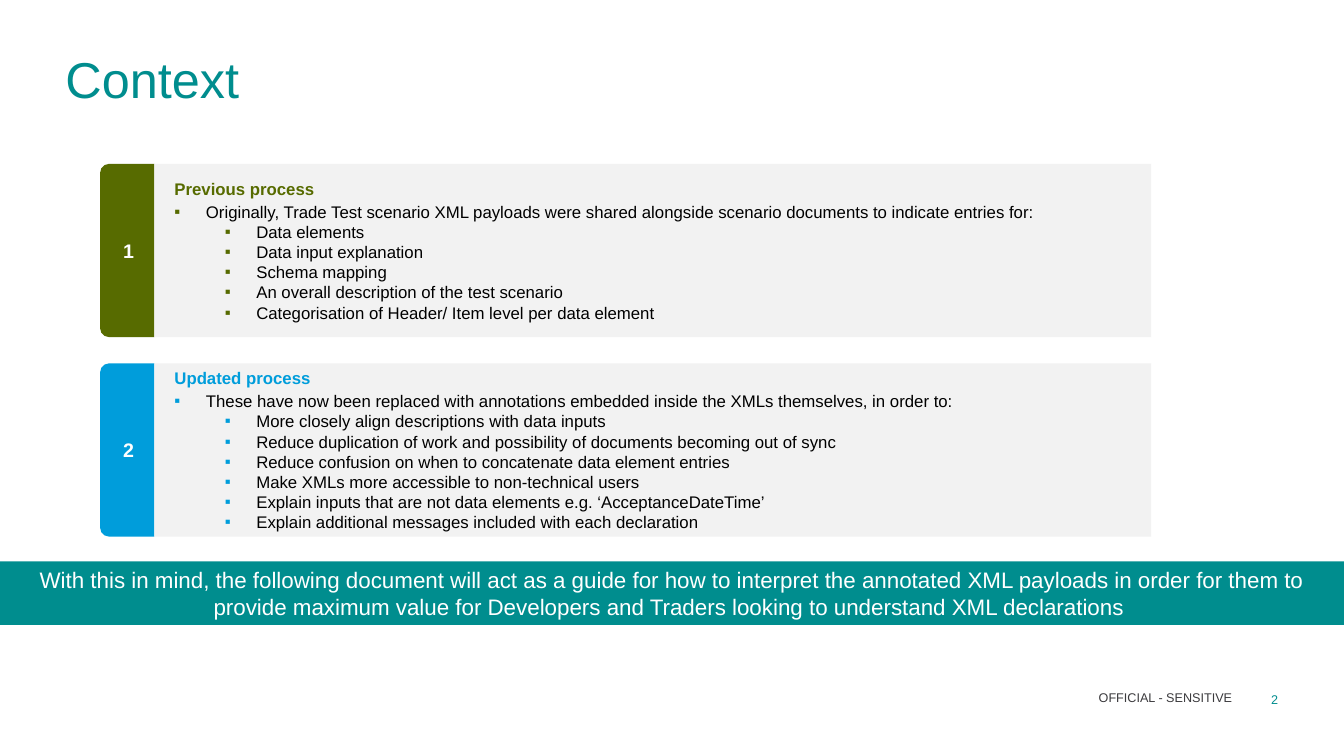
from lxml import etree
from pptx import Presentation
from pptx import util as u
from pptx.dml.color import RGBColor
from pptx.enum import shapes, text
from pptx.oxml.ns import qn

COLOURS = {"teal": "008D8E", "olive": "576B00", "blue": "009DDB", "panel": "F2F2F2",
           "white": "FFFFFF", "black": "000000", "grey": "3B3A3D"}
ALIGN, ANCHOR = text.PP_ALIGN, text.MSO_ANCHOR
SHAPE = shapes.MSO_SHAPE
SLIDE_WIDTH, SLIDE_HEIGHT = 960, 540
PANEL_LEFT, PANEL_TOP, PANEL_WIDTH, PANEL_HEIGHT, PANEL_STEP = 71.5, 117, 750.7, 123.8, 142.5
TAB_WIDTH = 38.7

PROCESSES = [
    ("olive", "Previous process",
     "Originally, Trade Test scenario XML payloads were shared alongside scenario documents "
     "to indicate entries for:",
     ["Data elements", "Data input explanation", "Schema mapping",
      "An overall description of the test scenario",
      "Categorisation of Header/ Item level per data element"]),
    ("blue", "Updated process",
     "These have now been replaced with annotations embedded inside the XMLs themselves, "
     "in order to:",
     ["More closely align descriptions with data inputs",
      "Reduce duplication of work and possibility of documents becoming out of sync",
      "Reduce confusion on when to concatenate data element entries",
      "Make XMLs more accessible to non-technical users",
      "Explain inputs that are not data elements e.g. ‘AcceptanceDateTime’",
      "Explain additional messages included with each declaration"]),
]
MESSAGE = ("With this in mind, the following document will act as a guide for how to interpret "
           "the annotated XML payloads in order for them to provide maximum value for Developers "
           "and Traders looking to understand XML declarations ")


def set_all(target, values):
    """Set each named attribute of the target."""
    for name, value in values.items():
        setattr(target, name, value)


def set_frame(shape, insets, anchor):
    """Wrap the text of a shape and set its insets and anchor."""
    left, top, right, bottom = (u.Pt(inset) for inset in insets)
    set_all(shape.text_frame, {"word_wrap": True, "vertical_anchor": anchor,
                               "margin_left": left, "margin_top": top,
                               "margin_right": right, "margin_bottom": bottom})


def add_block(page, kind, box, colour, insets, anchor):
    """Add a plain filled shape without line or shadow."""
    block = page.shapes.add_shape(kind, *(u.Pt(length) for length in box))
    block.shadow.inherit = False
    block.fill.solid()
    block.fill.fore_color.rgb = RGBColor.from_string(COLOURS[colour])
    block.line.fill.background()
    set_frame(block, insets, anchor)
    return block


def write(para, words, size, colour, bold=False, **layout):
    """Write one formatted span into a paragraph."""
    set_all(para, {"alignment": ALIGN.LEFT, **layout})
    span = para.add_run()
    span.text = words
    set_all(span.font, {"name": "Arial", "size": u.Pt(size), "bold": bold})
    span.font.color.rgb = RGBColor.from_string(COLOURS[colour])


def add_bullet(para, colour, indent):
    """Give a paragraph a coloured square bullet with a hanging indent."""
    props = para._p.get_or_add_pPr()
    props.set("marL", str(u.Pt(indent)))
    props.set("indent", str(u.Pt(-22.5)))
    tint = etree.SubElement(props, qn("a:buClr"))
    etree.SubElement(tint, qn("a:srgbClr"), val=COLOURS[colour])
    etree.SubElement(props, qn("a:buFont"), typeface="Arial")
    etree.SubElement(props, qn("a:buChar"), char="▪")


def add_tab(page, box, number, colour):
    """Add the numbered tab, turned so that its round corners face left."""
    left, top, width, height = box
    turned = (left + (width - height) / 2, top + (height - width) / 2, height, width)
    tab = add_block(page, SHAPE.ROUND_2_SAME_RECTANGLE, turned, colour, [3.6] * 4, ANCHOR.MIDDLE)
    tab.rotation = 270
    tab.text_frame._txBody.bodyPr.set("vert", "vert")
    write(tab.text_frame.paragraphs[0], str(number), 14, "white", True,
          alignment=ALIGN.CENTER, space_before=u.Pt(2), space_after=u.Pt(2))


def add_process(page, box, number, process):
    """Add a numbered process panel with its heading and bullets."""
    left, top, width, height = box
    colour, heading, intro, points = process
    add_tab(page, (left, top, TAB_WIDTH, height), number, colour)
    body = (left + TAB_WIDTH, top, width - TAB_WIDTH, height)
    panel = add_block(page, SHAPE.RECTANGLE, body, "panel", (14.4, 3.6, 3.6, 3.6), ANCHOR.MIDDLE)
    frame = panel.text_frame
    write(frame.paragraphs[0], heading, 12, colour, True,
          space_before=u.Pt(2), space_after=u.Pt(2))
    for level, words in [(0, intro)] + [(1, point) for point in points]:
        para = frame.add_paragraph()
        write(para, words, 12, "black", level=level)
        add_bullet(para, colour, 22.5 + 36 * level)


def add_banner(page, box):
    """Add the full-width closing message."""
    banner = add_block(page, SHAPE.RECTANGLE, box, "teal", (7.2, 3.6, 7.2, 3.6), ANCHOR.MIDDLE)
    write(banner.text_frame.paragraphs[0], MESSAGE, 16, "white", alignment=ALIGN.CENTER)


def add_label(page, box, words, size, colour, anchor=ANCHOR.TOP, **layout):
    """Add a text box without insets."""
    label = page.shapes.add_textbox(*(u.Pt(length) for length in box))
    set_frame(label, [0] * 4, anchor)
    write(label.text_frame.paragraphs[0], words, size, colour, **layout)


def add_footer(page, box):
    """Add the classification and the page number along the bottom."""
    left, top, width, height = box
    add_label(page, (left, top, width - 33, height), "OFFICIAL - SENSITIVE", 9, "grey",
              ANCHOR.MIDDLE, alignment=ALIGN.RIGHT)
    add_label(page, (left + width - 24.5, top + 3.6, 24.5, 10.8), "2", 9, "teal",
              alignment=ALIGN.RIGHT)


def main():
    """Build the context slide and save the deck."""
    deck = Presentation()
    set_all(deck, {"slide_width": u.Pt(SLIDE_WIDTH), "slide_height": u.Pt(SLIDE_HEIGHT)})
    page = deck.slides.add_slide(deck.slide_layouts[6])
    add_banner(page, (0, 401, SLIDE_WIDTH, 45.4))
    for index, process in enumerate(PROCESSES):
        box = (PANEL_LEFT, PANEL_TOP + index * PANEL_STEP, PANEL_WIDTH, PANEL_HEIGHT)
        add_process(page, box, index + 1, process)
    add_label(page, (46.8, 37.4, 864, 73.4), "Context", 36, "teal",
              line_spacing=u.Pt(40), space_after=u.Pt(8))
    add_footer(page, (173.5, 490.3, 739.5, 15.8))
    deck.save("out.pptx")


if __name__ == "__main__":
    main()
